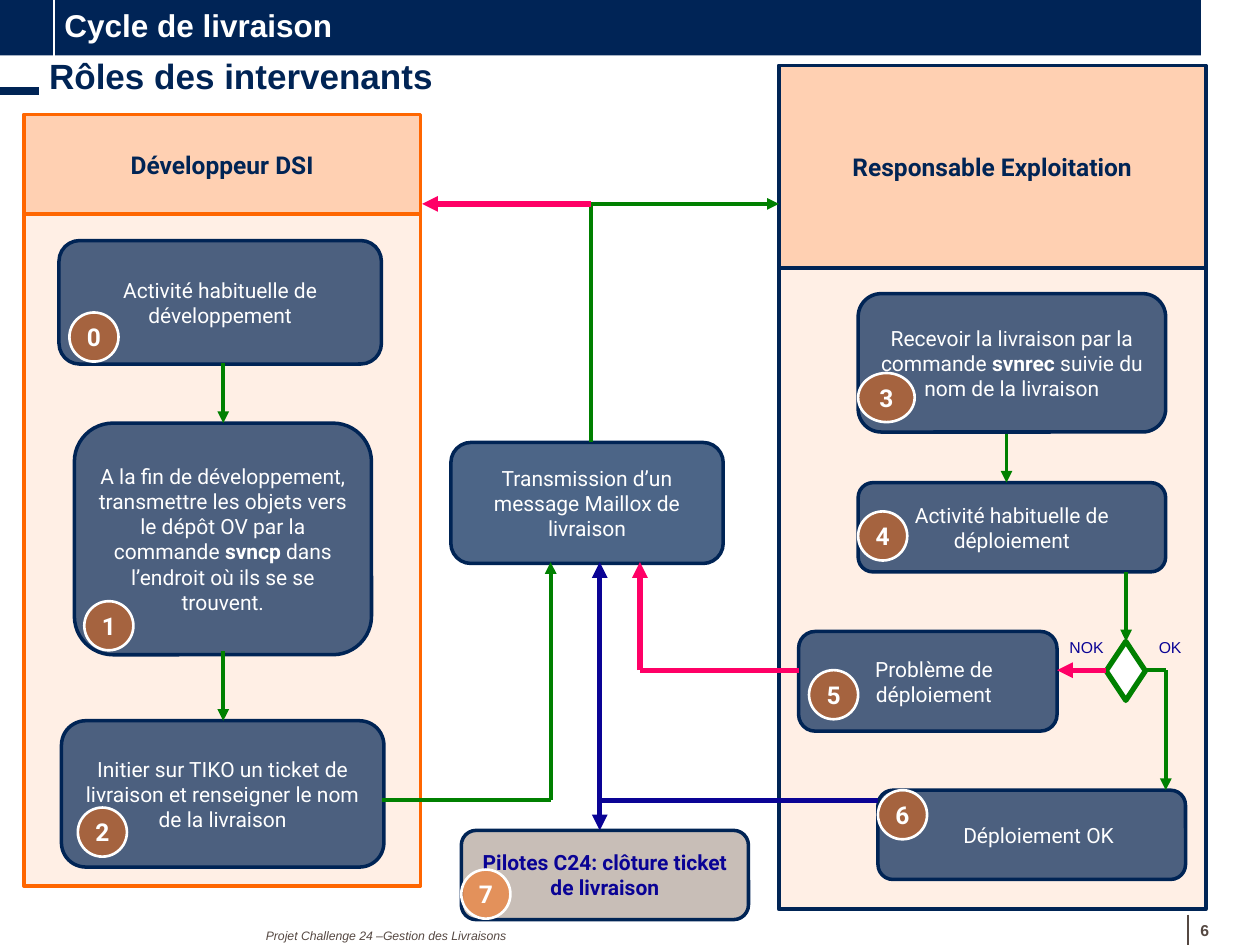
"""Build the delivery cycle slide: who does what, from development to deployment."""
from lxml.etree import SubElement
from pptx import Presentation
from pptx.dml.color import RGBColor
from pptx.enum.shapes import MSO_CONNECTOR as Connector, MSO_SHAPE as Shape
from pptx.enum.text import MSO_ANCHOR as Anchor, MSO_AUTO_SIZE as AutoSize, PP_ALIGN as Align
from pptx.oxml.ns import qn
from pptx.util import Cm, Pt

NAVY, ORANGE, WHITE, BROWN = "002455", "FF6600", "FFFFFF", "554842"
GREEN, PINK, BLUE, TAUPE = "008000", "FF0066", "0A0395", "B1A399"


def color(code):
    return RGBColor.from_string(code)


class FlowSlide:
    """Hold the fonts and the current slide, and draw each kind of element."""

    plain_font = "Arial"
    flow_font = "Roboto"
    badge_size = 0.99

    def __init__(self, deck):
        self.page = deck.slides.add_slide(deck.slide_layouts[5])

    def set_text(self, frame, text, size, ink, font, bold=False, italic=False,
                 align=Align.LEFT, anchor=Anchor.TOP):
        """Fill a frame; parts between asterisks are bold."""
        frame.word_wrap = True
        frame.auto_size = AutoSize.NONE
        frame.vertical_anchor = anchor
        para = frame.paragraphs[0]
        para.alignment = align
        for index, part in enumerate(text.split("*")):
            span = para.add_run()
            span.text = part
            span.font.name = font
            span.font.size = Pt(size)
            span.font.bold = bold or index % 2 == 1
            span.font.italic = italic
            span.font.color.rgb = color(ink)

    def no_margins(self, frame):
        frame.margin_left = frame.margin_right = 0
        frame.margin_top = frame.margin_bottom = 0

    def title(self, text, area):
        holder = self.page.shapes.title
        holder.left, holder.top, holder.width, holder.height = map(Cm, area)
        self.no_margins(holder.text_frame)
        self.set_text(holder.text_frame, text, 20, NAVY, self.plain_font, bold=True,
                      anchor=Anchor.MIDDLE)
        holder.text_frame.paragraphs[0].line_spacing = 0.9

    def label(self, text, area, size, ink, **style):
        box = self.page.shapes.add_textbox(*map(Cm, area))
        self.set_text(box.text_frame, text, size, ink, self.plain_font, **style)
        return box

    def shape(self, kind, area, fill, outline=None, width=2, opacity=100):
        shape = self.page.shapes.add_shape(kind, *map(Cm, area))
        shape.shadow.inherit = False
        shape.fill.solid()
        shape.fill.fore_color.rgb = color(fill)
        if opacity < 100:
            tint = shape.element.spPr.find(qn("a:solidFill")).find(qn("a:srgbClr"))
            SubElement(tint, qn("a:alpha"), val=str(opacity * 1000))
        if outline:
            shape.line.color.rgb = color(outline)
            shape.line.width = Pt(width)
        else:
            shape.line.fill.background()
        return shape

    def lane(self, text, left, top, width, head, body, outline):
        header = self.shape(Shape.RECTANGLE, (left, top, width, head), ORANGE, outline, opacity=30)
        self.set_text(header.text_frame, text, 14, NAVY, self.flow_font, bold=True,
                      align=Align.CENTER, anchor=Anchor.MIDDLE)
        self.shape(Shape.RECTANGLE, (left, top + head, width, body), ORANGE, outline, opacity=10)

    def step(self, text, area, indent=0.0, fill=NAVY, ink=WHITE, bold=False):
        box = self.shape(Shape.ROUNDED_RECTANGLE, area, fill, NAVY, opacity=70)
        box.text_frame.margin_left = Cm(0.25 + indent)
        self.set_text(box.text_frame, text, 12, ink, self.flow_font, bold=bold,
                      align=Align.CENTER, anchor=Anchor.MIDDLE)

    def badge(self, text, left, top, width=badge_size):
        area = (left, top, width, self.badge_size)
        disc = self.shape(Shape.OVAL, area, ORANGE, WHITE, 1.5, 50)
        self.no_margins(disc.text_frame)
        self.set_text(disc.text_frame, text, 14, WHITE, self.flow_font, bold=True,
                      align=Align.CENTER, anchor=Anchor.MIDDLE)

    def route(self, ink, width, *points, arrow=True):
        """Join the points with straight lines and put the arrowhead on the last."""
        for start, end in zip(points, points[1:]):
            line = self.page.shapes.add_connector(Connector.STRAIGHT, *map(Cm, start + end))
            line.line.color.rgb = color(ink)
            line.line.width = Pt(width)
            properties = line.element.spPr
            SubElement(properties, qn("a:effectLst"))
            if arrow and end == points[-1]:
                SubElement(properties.find(qn("a:ln")), qn("a:tailEnd"), type="triangle")


def add_frame(slide):
    slide.route(BROWN, 1, (23.95, 18.44), (23.95, 19.05), arrow=False)
    slide.label("Projet Challenge 24 –Gestion des Livraisons", (5.11, 18.59, 12.19, 0.56),
                7, BROWN, italic=True)
    slide.shape(Shape.RECTANGLE, (0, 0, 24.21, 1.12), "002456")
    for x in (1.09, 24.23):
        slide.route(WHITE, 1.5, (x, 0), (x, 1.12), arrow=False)
    slide.route(NAVY, 4.5, (0, 1.83), (0.79, 1.83), arrow=False)
    slide.label("6", (23.95, 18.44, 1.09, 0.64), 9, BROWN, bold=True, anchor=Anchor.MIDDLE)
    slide.title("Rôles des intervenants", (0.99, 1.19, 23.19, 0.76))
    header = slide.label("Cycle de livraison", (1.3, 0.13, 21.01, 0.76), 18, WHITE, bold=True)
    slide.no_margins(header.text_frame)


def add_steps(slide):
    slide.lane("Développeur DSI", 0.48, 2.31, 8, 2.01, 13.54, ORANGE)
    slide.lane("Responsable Exploitation", 15.7, 1.32, 8.61, 4.08, 12.93, NAVY)
    steps = [
        ("Activité habituelle de développement", (1.19, 4.85, 6.5, 2.49)),
        ("A la fin de développement, transmettre les objets vers le dépôt OV par la commande "
         "*svncp* dans l’endroit où ils se se trouvent.", (1.5, 8.53, 5.99, 4.67)),
        ("Initier sur TIKO un ticket de livraison et renseigner le nom de la livraison",
         (1.24, 14.53, 6.5, 2.95)),
        ("Transmission d’un message Maillox de livraison", (9.09, 8.92, 5.49, 2.44)),
        ("Recevoir la livraison par la commande *svnrec* suivie du nom de la livraison",
         (17.3, 5.92, 6.2, 2.79)),
        ("Activité habituelle de déploiement", (17.3, 9.73, 6.2, 1.8)),
        ("Problème de déploiement", (16.1, 12.73, 5.21, 2.01), 0.25),
        ("Déploiement OK", (17.7, 15.93, 6.2, 1.8), 0.28),
    ]
    for step in steps:
        slide.step(*step)
    slide.step("Pilotes C24: clôture ticket de livraison", (9.3, 16.74, 5.79, 1.8),
               fill=TAUPE, ink=BLUE, bold=True)
    badges = [(1.4, 6.3), (1.7, 12.12), (1.57, 16.28), (17.3, 7.52, 1.14),
              (17.3, 10.31), (16.31, 13.51), (17.7, 15.93), (9.3, 17.53)]
    for number, place in enumerate(badges):
        slide.badge(str(number), *place)


def add_routes(slide):
    green_routes = [
        [(4.5, 7.32), (4.5, 8.53)],
        [(4.5, 13.13), (4.5, 14.53)],
        [(7.7, 16.13), (11.1, 16.13), (11.1, 11.33)],
        [(11.91, 8.92), (11.91, 4.11), (15.7, 4.11)],
        [(20.29, 8.74), (20.29, 9.73)],
        [(22.7, 11.53), (22.7, 12.93)],
        [(23.11, 13.51), (23.5, 13.51), (23.5, 15.93)],
    ]
    for points in green_routes:
        slide.route(GREEN, 2.25, *points)
    slide.route(PINK, 3, (11.91, 4.11), (8.51, 4.11))
    slide.route(PINK, 3, (16.1, 13.51), (12.9, 13.51), (12.9, 11.33))
    slide.route(BLUE, 3, (17.7, 16.13), (12.09, 16.13), (12.09, 11.33))
    slide.route(BLUE, 3, (12.09, 16.13), (12.09, 16.74))
    slide.shape(Shape.FLOWCHART_DECISION, (22.3, 12.93, 0.79, 1.19), WHITE, GREEN, 3)
    slide.route(PINK, 3, (22.3, 13.51), (21.31, 13.51))
    slide.label("OK", (23.11, 12.73, 0.99, 0.64), 9, BLUE)
    slide.label("NOK", (21.31, 12.73, 1.6, 0.64), 9, BLUE)


def main():
    deck = Presentation()
    deck.slide_width, deck.slide_height = Cm(25.4), Cm(19.05)
    slide = FlowSlide(deck)
    add_frame(slide)
    add_steps(slide)
    add_routes(slide)
    deck.save("out.pptx")


if __name__ == "__main__":
    main()
